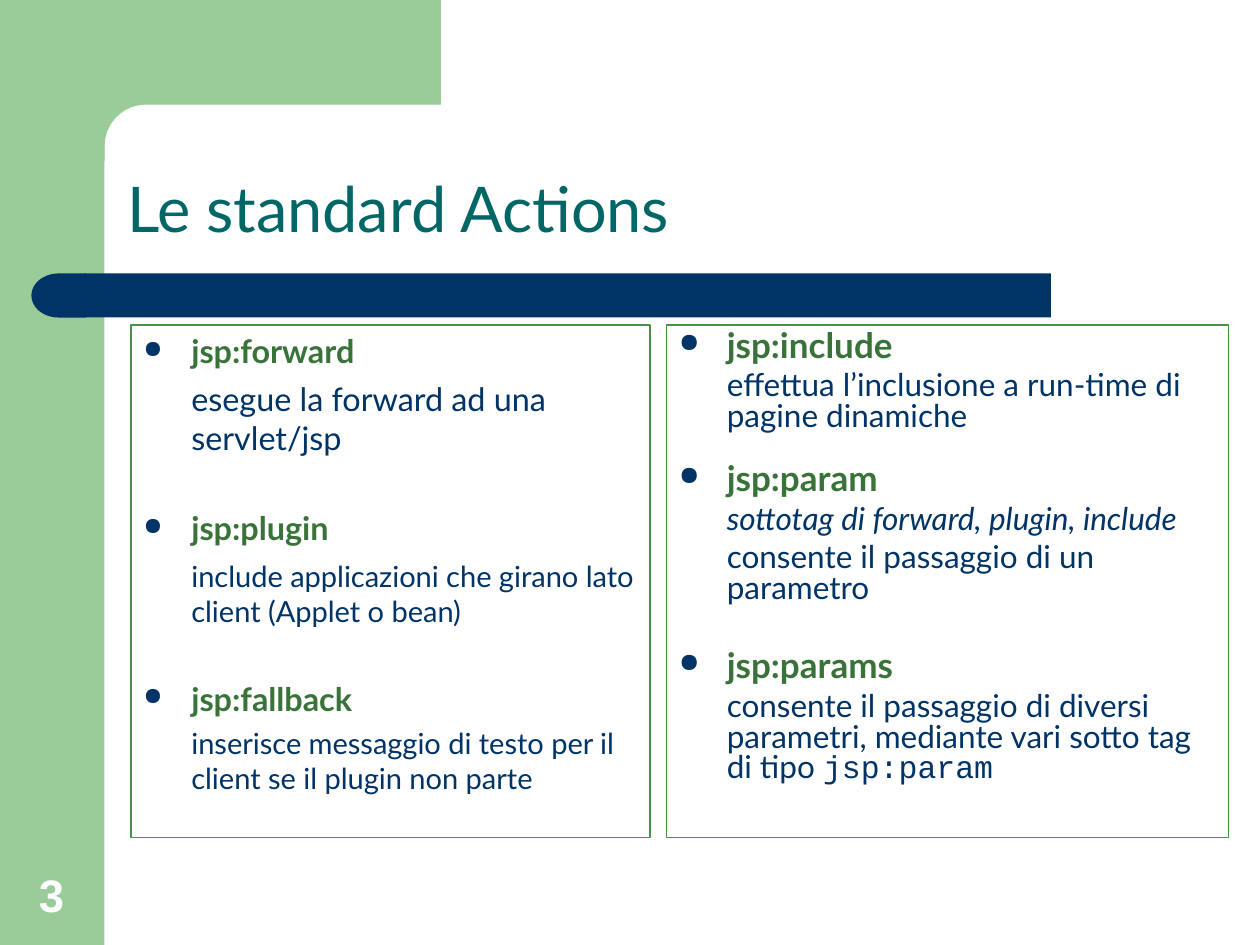
from dataclasses import dataclass
from math import cos, pi, sin

from lxml.etree import SubElement
from pptx import Presentation
from pptx.dml.color import RGBColor
from pptx.enum.shapes import MSO_SHAPE
from pptx.enum.text import MSO_ANCHOR, PP_ALIGN
from pptx.oxml.ns import qn
from pptx.util import Inches, Pt


@dataclass(frozen=True)
class Theme:
    band: str = "99CC99"
    bar: str = "003366"
    title: str = "006666"
    heading: str = "397339"
    body: str = "003366"
    border: str = "499349"
    number: str = "FFFFFF"
    font: str = "Lato"
    code_font: str = "Courier New"
    number_font: str = "Arial"
    title_size: float = 36
    number_size: float = 26
    left_size: float = 18.5
    left_small: float = 16.6
    right_heading: float = 20
    right_size: float = 18


THEME = Theme()

LEFT_ITEMS = [
    ("heading", "jsp:forward", THEME.left_size, 5),
    ("body", "esegue la forward ad una servlet/jsp", THEME.left_size, 5),
    ("heading", "jsp:plugin", THEME.left_size, 29.4),
    ("body", "include applicazioni che girano lato client (Applet o bean)", THEME.left_small, 6.4),
    ("heading", "jsp:fallback", THEME.left_size, 29),
    ("body", "inserisce messaggio di testo per il client se il plugin non parte", THEME.left_small, 4.5),
]
RIGHT_ITEMS = [
    ("heading", "jsp:include", THEME.right_heading, 5),
    ("body", "effettua l’inclusione a run-time di pagine dinamiche", THEME.right_size, 4.5),
    ("heading", "jsp:param", THEME.right_heading, 18.1),
    ("italic", "sottotag di forward, plugin, include", THEME.right_size, 4.5),
    ("body", "consente il passaggio di un parametro", THEME.right_size, 4.5),
    ("heading", "jsp:params", THEME.right_heading, 26.8),
    ("body", "consente il passaggio di diversi parametri, mediante vari sotto tag di tipo ",
     THEME.right_size, 4.5),
]


def fill_plain(shape, color):
    shape.shadow.inherit = False
    shape.fill.solid()
    shape.fill.fore_color.rgb = RGBColor.from_string(color)
    shape.line.fill.background()


def add_block(page, kind, place, color):
    block = page.shapes.add_shape(kind, *map(Inches, place))
    fill_plain(block, color)
    return block


def add_corner(page):
    radius, center = 0.33, 1.16
    angles = [pi / 2 * step / 12 for step in range(13)]
    arc = [(center - radius * sin(angle), center - radius * cos(angle)) for angle in angles]
    points = [(3.5, 0), (3.5, 0.83), *arc, (0.83, 1.28), (0.5, 1.28), (0.5, 0)]
    outline = [(Inches(x), Inches(y)) for x, y in points]
    builder = page.shapes.build_freeform(*outline[0])
    builder.add_line_segments(outline[1:], close=True)
    fill_plain(builder.convert_to_shape(), THEME.band)


def style_font(font, size, color, name=THEME.font, bold=False, italic=False):
    font.size = Pt(size)
    font.name = name
    font.bold = bold
    font.italic = italic
    font.color.rgb = RGBColor.from_string(color)


def add_label(page, place, text):
    box = page.shapes.add_textbox(*map(Inches, place))
    box.text_frame.word_wrap = True
    box.text_frame.vertical_anchor = MSO_ANCHOR.BOTTOM
    para = box.text_frame.paragraphs[0]
    para.text = text
    return para


def indent(para, bulleted):
    properties = para._p.get_or_add_pPr()
    properties.set("marL", str(Inches(0.38)))
    properties.set("indent", str(Inches(-0.38 if bulleted else 0)))
    if bulleted:
        color = SubElement(properties, qn("a:buClr"))
        SubElement(color, qn("a:srgbClr"), val=THEME.body)
        SubElement(properties, qn("a:buSzPct"), val="75000")
        SubElement(properties, qn("a:buChar"), char="●")
    else:
        SubElement(properties, qn("a:buNone"))


def add_panel(page, place, items, line_spacing):
    panel = page.shapes.add_shape(MSO_SHAPE.RECTANGLE, *map(Inches, place))
    panel.shadow.inherit = False
    panel.fill.background()
    panel.line.color.rgb = RGBColor.from_string(THEME.border)
    panel.line.width = Pt(0.75)
    frame = panel.text_frame
    frame.word_wrap = True
    frame.vertical_anchor = MSO_ANCHOR.TOP
    for position, (role, text, size, space) in enumerate(items):
        para = frame.add_paragraph() if position else frame.paragraphs[0]
        para.text = text
        para.alignment = PP_ALIGN.LEFT
        para.space_before = Pt(space)
        para.line_spacing = line_spacing
        heading = role == "heading"
        indent(para, heading)
        style_font(para.font, size, THEME.heading if heading else THEME.body,
                   bold=heading, italic=role == "italic")
    return panel


def main():
    deck = Presentation()
    deck.slide_width, deck.slide_height = Inches(10), Inches(7.5)
    page = deck.slides.add_slide(deck.slide_layouts[6])

    add_block(page, MSO_SHAPE.RECTANGLE, (0, 0, 0.83, 7.5), THEME.band)
    add_corner(page)
    add_block(page, MSO_SHAPE.RECTANGLE, (0.67, 2.17, 7.67, 0.35), THEME.bar)
    cap = add_block(page, MSO_SHAPE.FLOWCHART_DELAY, (0.25, 2.17, 0.43, 0.35), THEME.bar)
    cap._element.spPr.find(qn("a:xfrm")).set("flipH", "1")

    title = add_label(page, (0.91, 0.91, 8.51, 1.09), "Le standard Actions")
    title.line_spacing = 0.9
    style_font(title.font, THEME.title_size, THEME.title)

    right = add_panel(page, (5.29, 2.58, 4.46, 4.07), RIGHT_ITEMS, 0.8)
    span = right.text_frame.paragraphs[-1].add_run()
    span.text = "jsp:param"
    span.font.name = THEME.code_font
    add_panel(page, (1.04, 2.58, 4.12, 4.07), LEFT_ITEMS, 1.0)

    number = add_label(page, (0.09, 6.83, 0.64, 0.53), "3")
    number.alignment = PP_ALIGN.CENTER
    style_font(number.font, THEME.number_size, THEME.number, THEME.number_font, bold=True)

    deck.save("out.pptx")


if __name__ == "__main__":
    main()
